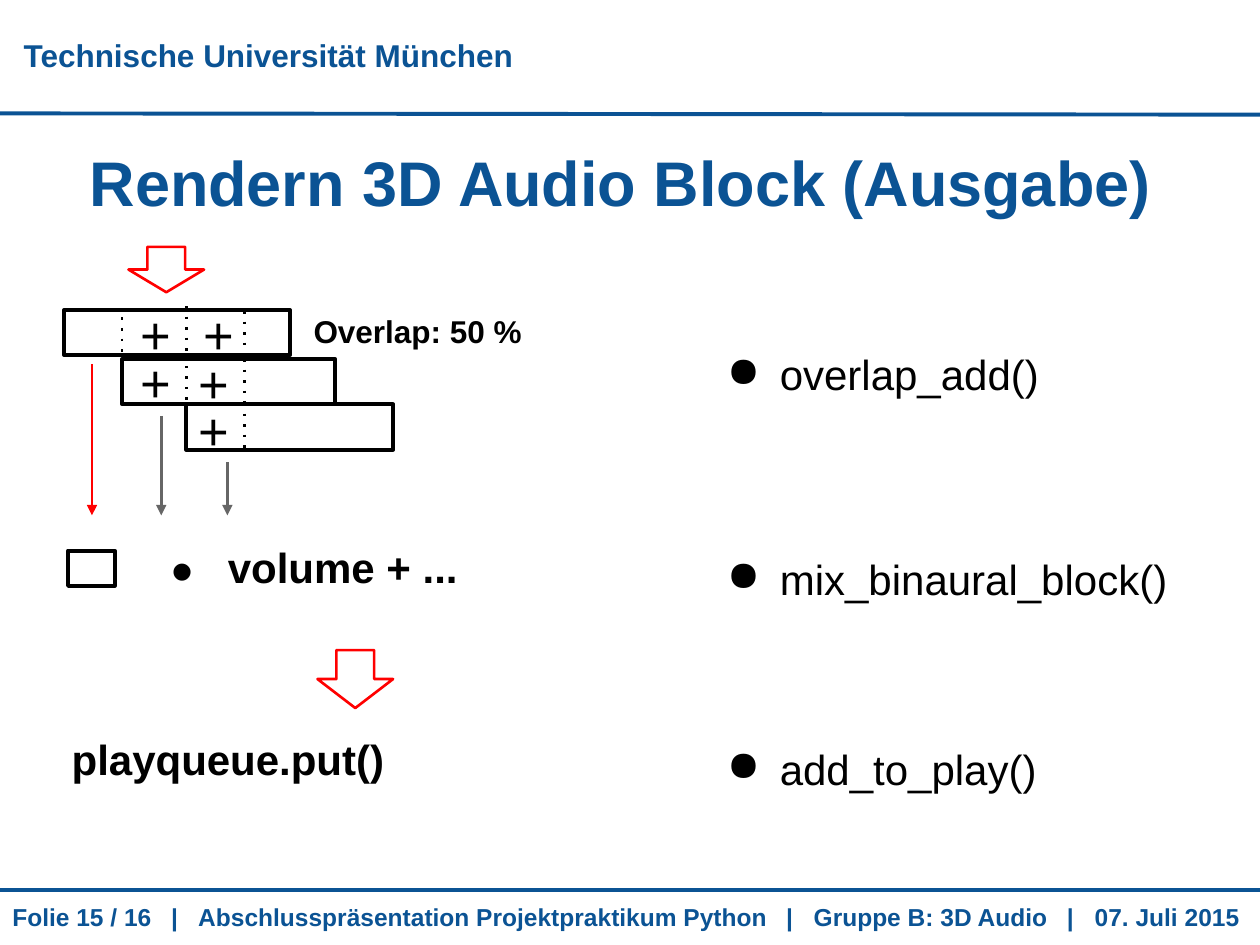
import pptx
import pptx.dml.color
import pptx.enum.shapes
import pptx.enum.text
import pptx.oxml.ns
import pptx.util
from lxml import etree

BLUE, BLACK, WHITE, RED, GREY = "0B5394", "000000", "FFFFFF", "FF0000", "666666"
SHAPES = pptx.enum.shapes.MSO_SHAPE
ALIGN = pptx.enum.text.PP_ALIGN
ANCHOR = pptx.enum.text.MSO_ANCHOR
COLUMNS, ROWS = 100, 75


def color(hex_value):
    return pptx.dml.color.RGBColor.from_string(hex_value)


def add_xml(parent, tag, **attributes):
    return etree.SubElement(parent, pptx.oxml.ns.qn(tag), attributes)


class Slide:
    """Draws on one slide; lengths are columns and rows of a 100 x 75 grid."""

    font = "Arial"
    inset = pptx.util.Inches(0.1)

    def __init__(self, deck):
        self.column = deck.slide_width / COLUMNS
        self.row = deck.slide_height / ROWS
        self.shapes = deck.slides.add_slide(deck.slide_layouts[6]).shapes

    def place(self, x, y):
        return round(x * self.column), round(y * self.row)

    def text(self, box, lines, size, ink=BLACK, bold=False, align=ALIGN.LEFT,
             anchor=ANCHOR.TOP, bullet=False, gaps=(), tabs=()):
        x, y, width, height = box
        label = self.shapes.add_textbox(*self.place(x, y), *self.place(width, height))
        frame = label.text_frame
        frame.word_wrap = True
        frame.vertical_anchor = anchor
        frame.margin_left = frame.margin_right = self.inset
        frame.margin_top = frame.margin_bottom = self.inset
        for index, line in enumerate(lines):
            paragraph = frame.paragraphs[0] if index == 0 else frame.add_paragraph()
            paragraph.alignment = align
            if index and gaps:
                paragraph.space_before = pptx.util.Pt(gaps[index - 1])
            properties = paragraph._p.get_or_add_pPr()
            if bullet:
                properties.set("marL", str(pptx.util.Inches(0.5)))
                properties.set("indent", str(pptx.util.Inches(-0.42)))
                add_xml(properties, "a:buChar", char="●")
            if tabs:
                stops = add_xml(properties, "a:tabLst")
                for stop in tabs:
                    add_xml(stops, "a:tab", pos=str(self.place(stop, 0)[0]), algn="l")
            run = paragraph.add_run()
            run.text = line
            run.font.name = self.font
            run.font.size = pptx.util.Pt(size)
            run.font.bold = bold
            run.font.color.rgb = color(ink)

    def shape(self, kind, box, ink, weight, fill=None):
        x, y, width, height = box
        figure = self.shapes.add_shape(kind, *self.place(x, y), *self.place(width, height))
        figure.shadow.inherit = False
        if fill:
            figure.fill.solid()
            figure.fill.fore_color.rgb = color(fill)
        else:
            figure.fill.background()
        figure.line.color.rgb = color(ink)
        figure.line.width = pptx.util.Pt(weight)

    def line(self, start, end, ink=BLACK, weight=1.5, dotted=False, arrow=False):
        stroke = self.shapes.add_connector(
            pptx.enum.shapes.MSO_CONNECTOR.STRAIGHT, *self.place(*start), *self.place(*end))
        stroke.line.color.rgb = color(ink)
        stroke.line.width = pptx.util.Pt(weight)
        outline = stroke.line._get_or_add_ln()
        if dotted:
            add_xml(outline, "a:prstDash", val="dot")
        if arrow:
            add_xml(outline, "a:tailEnd", type="triangle")
        add_xml(stroke._element.spPr, "a:effectLst")


def main():
    deck = pptx.Presentation()
    deck.slide_width = pptx.util.Inches(10)
    deck.slide_height = pptx.util.Inches(7.5)
    slide = Slide(deck)

    # Header and footer
    for start_row, end_row in ((70.6, 70.6), (9, 9.1)):
        slide.line((0, start_row), (COLUMNS, end_row), BLUE, 2.25)
    slide.text((0.9, 1.5, 41.7, 5.7), ["Technische Universität München"], 18, BLUE,
               bold=True, anchor=ANCHOR.MIDDLE)
    footer = ["Folie 15 / 16", "Abschlusspräsentation Projektpraktikum Python",
              "Gruppe B: 3D Audio", "07. Juli 2015"]
    slide.text((0, 70.6, COLUMNS, 4.4), ["\t|\t".join(footer)], 14, BLUE, bold=True,
               tabs=(12.6, 14.75, 61.4, 63.6, 83.7, 85.9))

    # Title
    slide.text((2.1, 10.4, 94.3, 8), ["Rendern 3D Audio Block (Ausgabe)"], 36, BLUE,
               bold=True, align=ALIGN.CENTER)

    # Function names
    slide.text((55.9, 26.7, 43.8, 37), ["overlap_add()", "mix_binaural_block()", "add_to_play()"],
               24, bullet=True, gaps=(88, 80))

    # Overlapping audio blocks and the output block
    blocks = ((5.1, 24.6, 17.9, 3.6), (9.7, 28.5, 16.9, 3.6),
              (14.8, 32.1, 16.4, 3.6), (5.4, 43.7, 3.7, 2.8))
    for block in blocks:
        slide.shape(SHAPES.RECTANGLE, block, BLACK, 2.25, WHITE)

    # Dotted borders of the overlaps
    borders = ((9.7, 25.2, 29.2), (14.8, 24.3, 28.4), (14.8, 28.2, 32.3),
               (19.4, 24.7, 28.4), (19.4, 28.5, 32), (19.4, 32, 35.7))
    for x, top, bottom in borders:
        slide.line((x, top), (x, bottom), dotted=True)

    # Sums within the overlaps
    for x, y in ((10.2, 23), (15.2, 23), (10.2, 26.8), (14.8, 26.9), (14.8, 30.6)):
        slide.text((x, y, 6, 2.4), ["+"], 30)
    slide.text((23.9, 23.8, 21.4, 3.6), ["Overlap: 50 %"], 18, bold=True)

    # Arrows from the blocks to the output
    for x, top, ink in ((7.3, 28.9, RED), (12.8, 33, GREY), (18.05, 36.7, GREY)):
        slide.line((x, top), (x, 40.9), ink, arrow=True)

    # Input and output steps
    for arrow in ((10.2, 19.6, 6, 3.6), (25.2, 51.6, 6, 4.6)):
        slide.shape(SHAPES.DOWN_ARROW, arrow, RED, 1.5)
    slide.text((12.6, 42, 4.5, 6.2), ["•"], 36, anchor=ANCHOR.MIDDLE)
    slide.text((17.1, 42, 36.9, 8.9), ["volume + ..."], 24, bold=True)
    slide.text((4.7, 57.2, 33.8, 5.7), ["playqueue.put()"], 24, bold=True)

    deck.save("out.pptx")


if __name__ == "__main__":
    main()
